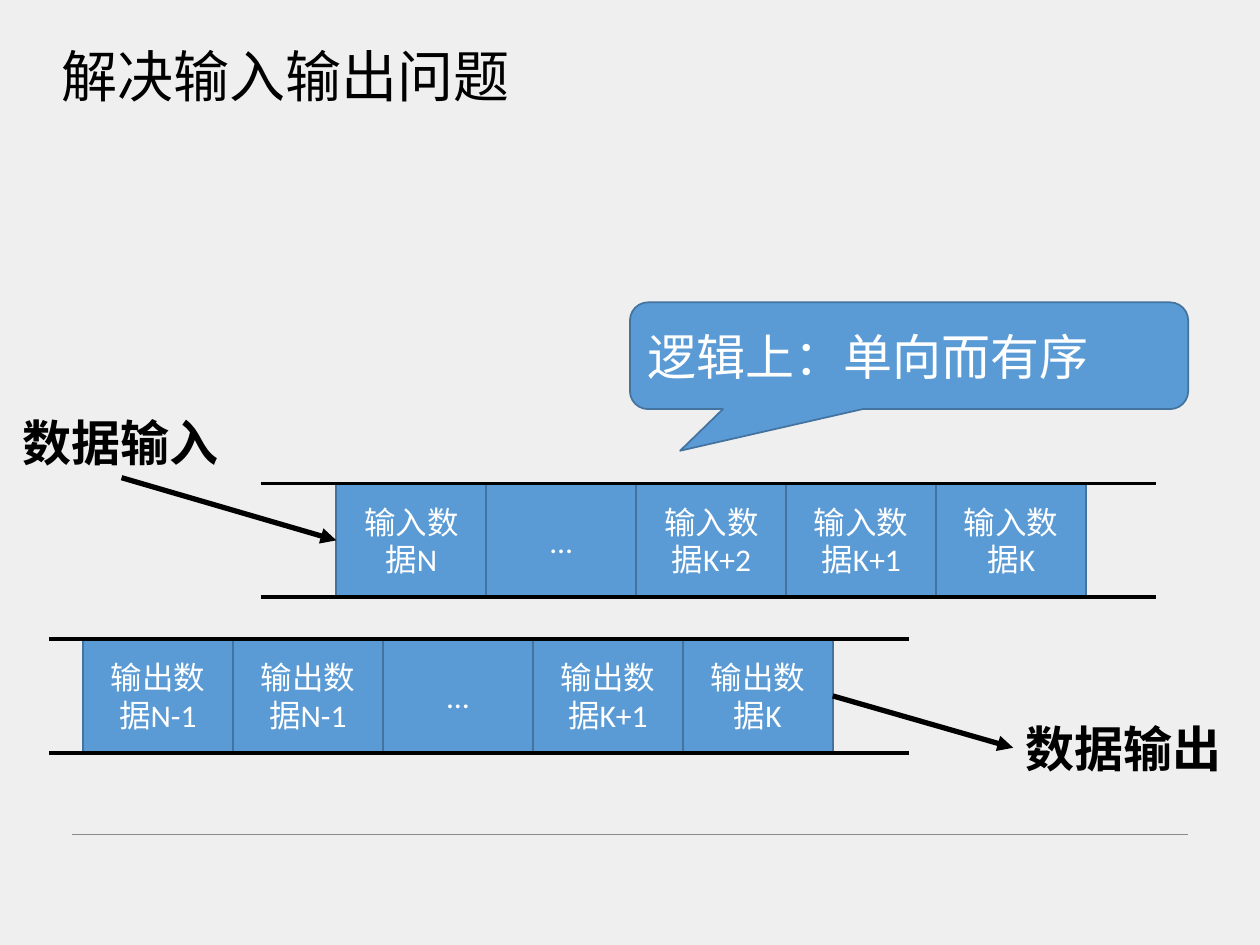
"""Build a slide showing data queuing in and out of a one-way, ordered channel."""
from dataclasses import dataclass

from lxml import etree
from pptx import Presentation
from pptx.dml.color import RGBColor
from pptx.enum.shapes import MSO_CONNECTOR, MSO_SHAPE
from pptx.enum.text import MSO_ANCHOR, MSO_AUTO_SIZE, PP_ALIGN
from pptx.oxml.ns import qn
from pptx.util import Pt

STRAIGHT = MSO_CONNECTOR.STRAIGHT
RECT, CALLOUT = MSO_SHAPE.RECTANGLE, MSO_SHAPE.ROUNDED_RECTANGULAR_CALLOUT
MIDDLE, TOP = MSO_ANCHOR.MIDDLE, MSO_ANCHOR.TOP
LEFT, CENTER = PP_ALIGN.LEFT, PP_ALIGN.CENTER
NO_FIT = MSO_AUTO_SIZE.NONE
COLORS = {"bg": "EFEFEF", "box": "5B9BD5", "edge": "43739E",
          "text": "000000", "light": "FFFFFF", "rule": "8A8A8A"}
LATIN, CJK = "Calibri", "Noto Sans CJK SC"
CELL_W, CELL_H = 85.7, 65
BOTTOM, RIGHT_SIDE, LEFT_SIDE = 2, 3, 1


@dataclass
class Queue:
    x: float
    y: float
    rail_start: float
    rail_end: float
    labels: list[str]


@dataclass
class Label:
    x: float
    y: float
    text: str


INPUT = Queue(192.2, 276.3, 149, 660.4,
              ["输入数据N", "…", "输入数据K+2", "输入数据K+1", "输入数据K"])
OUTPUT = Queue(47.4, 365.2, 28, 519.3,
               ["输出数据N-1", "输出数据N-1", "…", "输出数据K+1", "输出数据K"])


def color(name: str) -> RGBColor:
    return RGBColor.from_string(COLORS[name])


def write(s, text: str, size: float, ink: str, align=LEFT, anchor=MIDDLE,
          font: str = LATIN, bold: bool = False, wrap: bool = True) -> None:
    tf = s.text_frame
    tf.text = text
    tf.auto_size = NO_FIT
    tf.word_wrap, tf.vertical_anchor = wrap, anchor
    p = tf.paragraphs[0]
    p.alignment = align
    p.font.size, p.font.name, p.font.bold = Pt(size), font, bold
    p.font.color.rgb = color(ink)
    for rpr in (p.font._element, p.runs[0].font._element):
        etree.SubElement(rpr, qn("a:ea")).set("typeface", CJK)


def add_box(sp, kind, x: float, y: float, w: float, h: float):
    s = sp.add_shape(kind, Pt(x), Pt(y), Pt(w), Pt(h))
    s.shadow.inherit = False
    s.fill.solid()
    s.fill.fore_color.rgb = color("box")
    s.line.color.rgb = color("edge")
    s.line.width = Pt(1)
    return s


def add_line(sp, x1: float, y1: float, x2: float, y2: float,
             width: float, ink: str = "text"):
    s = sp.add_connector(STRAIGHT, Pt(x1), Pt(y1), Pt(x2), Pt(y2))
    s.line.color.rgb = color(ink)
    s.line.width = Pt(width)
    etree.SubElement(s._element.spPr, qn("a:effectLst"))
    return s


def add_arrow(sp, start, start_side: int, end, end_side: int) -> None:
    s = add_line(sp, 0, 0, 1, 1, 3)
    s.begin_connect(start, start_side)
    s.end_connect(end, end_side)
    etree.SubElement(s.line._get_or_add_ln(), qn("a:tailEnd")).set("type", "triangle")


def add_queue(sp, queue: Queue) -> list:
    group = sp.add_group_shape().shapes
    cells = []
    for i, text in enumerate(queue.labels):
        s = add_box(group, RECT, queue.x + i * CELL_W, queue.y, CELL_W, CELL_H)
        write(s, text, 18, "light", CENTER)
        cells.append(s)
    for y in (queue.y, queue.y + CELL_H):
        add_line(group, queue.rail_start, y, queue.rail_end, y, 2.25)
    return cells


def add_label(sp, label: Label):
    s = sp.add_textbox(Pt(label.x), Pt(label.y), Pt(127.4), Pt(41))
    write(s, label.text, 28, "text", anchor=TOP, bold=True, wrap=False)
    return s


def main() -> None:
    prs = Presentation()
    prs.slide_width, prs.slide_height = Pt(720), Pt(540)
    slide = prs.slides.add_slide(prs.slide_layouts[5])
    slide.background.fill.solid()
    slide.background.fill.fore_color.rgb = color("bg")
    sp = slide.shapes

    title = sp.title
    title.left, title.top, title.width, title.height = Pt(28), Pt(20), Pt(273), Pt(46)
    write(title, "解决输入输出问题", 32, "text", anchor=TOP, font=CJK, wrap=False)

    add_line(sp, 41, 476.6, 679, 476.6, 0.5, "rule")
    inputs = add_queue(sp, INPUT)
    callout = add_box(sp, CALLOUT, 360, 172.8, 319, 61)
    for i, value in enumerate((-0.41, 0.89, 0.17)):
        callout.adjustments[i] = value
    write(callout, "逻辑上：单向而有序", 28, "light")
    outputs = add_queue(sp, OUTPUT)

    source = add_label(sp, Label(5.8, 232, "数据输入"))
    add_arrow(sp, source, BOTTOM, inputs[0], LEFT_SIDE)
    target = add_label(sp, Label(579, 406.8, "数据输出"))
    add_arrow(sp, outputs[-1], RIGHT_SIDE, target, LEFT_SIDE)
    prs.save("out.pptx")


if __name__ == "__main__":
    main()
